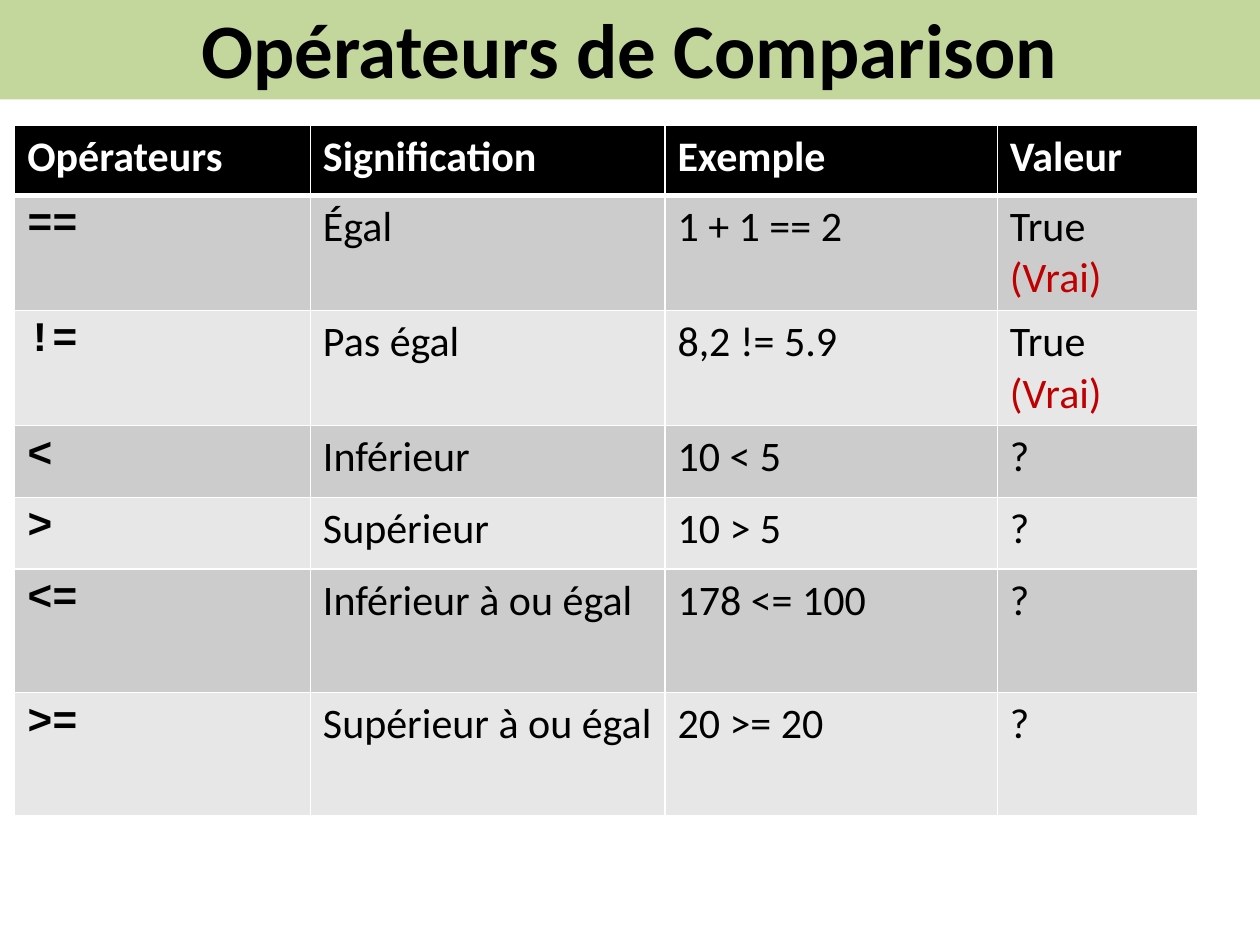
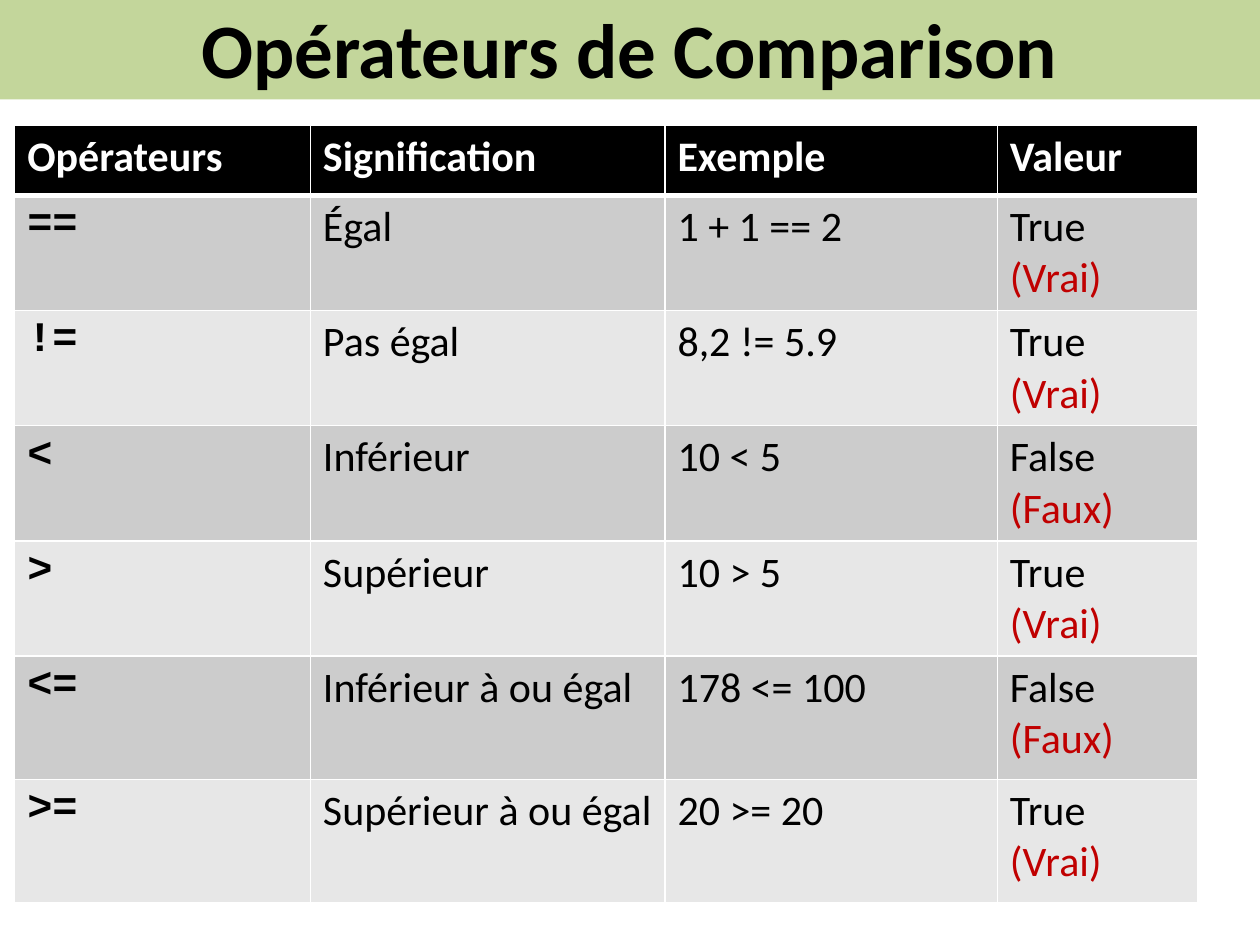
"""Builds two slides that compare the comparison operators, without and with answers."""
from dataclasses import dataclass

from lxml import etree
from pptx import Presentation
from pptx import util as u
from pptx.dml.color import RGBColor
from pptx.enum import shapes, text
from pptx.oxml import ns


@dataclass(frozen=True)
class Theme:
    band: str = "C3D69B"
    ink: str = "000000"
    paper: str = "FFFFFF"
    answer: str = "C00000"
    stripes: tuple[str, str] = ("CCCCCC", "E7E7E7")
    body_font: str = "Calibri"
    code_font: str = "Courier New"
    title_size: float = 44
    body_size: float = 24
    thin: float = 1
    thick: float = 3


@dataclass(frozen=True)
class Operator:
    symbol: str
    meaning: str
    example: str
    result: bool
    tall: bool = False


THEME = Theme()
TITLE = "Opérateurs de Comparison"
HEADINGS = ("Opérateurs", "Signification", "Exemple", "Valeur")
OPERATORS = (
    Operator("==", "Égal", "1 + 1 == 2", True),
    Operator("!=", "Pas égal", "8,2 != 5.9", True),
    Operator("<", "Inférieur", "10 < 5", False),
    Operator(">", "Supérieur", "10 > 5", True),
    Operator("<=", "Inférieur à ou égal", "178 <= 100", False, tall=True),
    Operator(">=", "Supérieur à ou égal", "20 >= 20", True, tall=True),
)
ANSWERED_COUNTS = (2, len(OPERATORS))
COLUMN_WIDTHS = (169, 202.6, 190, 114.6)
HEADER_HEIGHT, LINE_HEIGHT, ANSWER_HEIGHT, TALL_HEIGHT = 40.3, 41, 65.7, 70.6


def add_text(paragraph, words: str, *, size: float = THEME.body_size, font: str = THEME.body_font,
             color: str = THEME.ink, bold: bool = False) -> None:
    """Append one formatted run to a paragraph."""
    run = paragraph.add_run()
    run.text = words
    run.font.size, run.font.name, run.font.bold = u.Pt(size), font, bold
    run.font.color.rgb = RGBColor.from_string(color)


def add_title(slide, width: int) -> None:
    """Draw the title band across the top of the slide."""
    band = slide.shapes.add_shape(shapes.MSO_SHAPE.RECTANGLE, 0, u.Pt(-2.2), width, u.Pt(59))
    band.shadow.inherit = False
    band.fill.solid()
    band.fill.fore_color.rgb = RGBColor.from_string(THEME.band)
    band.line.fill.background()
    band.text_frame.word_wrap = True
    band.text_frame.vertical_anchor = text.MSO_ANCHOR.MIDDLE
    paragraph = band.text_frame.paragraphs[0]
    paragraph.alignment = text.PP_ALIGN.CENTER
    add_text(paragraph, TITLE, size=THEME.title_size, bold=True)


def style_cell(cell, fill: str, top: float = THEME.thin, bottom: float = THEME.thin) -> None:
    """Give a cell its borders and its fill."""
    properties = cell._tc.get_or_add_tcPr()
    for side, weight in zip("LRTB", (THEME.thin, THEME.thin, top, bottom)):
        line = etree.SubElement(properties, ns.qn(f"a:ln{side}"), w=str(u.Pt(weight)))
        solid = etree.SubElement(line, ns.qn("a:solidFill"))
        etree.SubElement(solid, ns.qn("a:srgbClr"), val=THEME.paper)
    cell.fill.solid()
    cell.fill.fore_color.rgb = RGBColor.from_string(fill)


def add_answer(cell, result: bool) -> None:
    """Write a Python value and its French translation."""
    first = cell.text_frame.paragraphs[0]
    add_text(first, "True " if result else "False")
    second = first if result else cell.text_frame.add_paragraph()
    add_text(second, "(Vrai)" if result else "(Faux)", color=THEME.answer)


def row_height(operator: Operator, answered: bool) -> float:
    """Return the height in points that a row needs."""
    if operator.tall:
        return TALL_HEIGHT
    return ANSWER_HEIGHT if answered else LINE_HEIGHT


def add_operator_table(slide, answered_count: int) -> None:
    """Draw the operators, with answers in the first rows only."""
    heights = [HEADER_HEIGHT] + [row_height(operator, index < answered_count)
                                 for index, operator in enumerate(OPERATORS)]
    table = slide.shapes.add_table(len(heights), len(HEADINGS), u.Pt(8.4), u.Pt(71.4),
                                   u.Pt(sum(COLUMN_WIDTHS)), u.Pt(sum(heights))).table
    for column, width in zip(table.columns, COLUMN_WIDTHS):
        column.width = u.Pt(width)
    for row, height in zip(table.rows, heights):
        row.height = u.Pt(height)
    for cell, heading in zip(table.rows[0].cells, HEADINGS):
        style_cell(cell, THEME.ink, bottom=THEME.thick)
        add_text(cell.text_frame.paragraphs[0], heading, color=THEME.paper, bold=True)
    for index, operator in enumerate(OPERATORS):
        cells = list(table.rows[index + 1].cells)
        for cell in cells:
            style_cell(cell, THEME.stripes[index % 2], top=THEME.thin if index else THEME.thick)
        symbol, meaning, example, value = cells
        add_text(symbol.text_frame.paragraphs[0], operator.symbol, font=THEME.code_font, bold=True)
        add_text(meaning.text_frame.paragraphs[0], operator.meaning)
        add_text(example.text_frame.paragraphs[0], operator.example)
        if index < answered_count:
            add_answer(value, operator.result)
        else:
            add_text(value.text_frame.paragraphs[0], "?")


def main() -> None:
    """Build and save the presentation."""
    presentation = Presentation()
    presentation.slide_width, presentation.slide_height = u.Pt(720), u.Pt(540)
    for answered_count in ANSWERED_COUNTS:
        slide = presentation.slides.add_slide(presentation.slide_layouts[6])
        add_title(slide, presentation.slide_width)
        add_operator_table(slide, answered_count)
    presentation.save("out.pptx")


if __name__ == "__main__":
    main()
